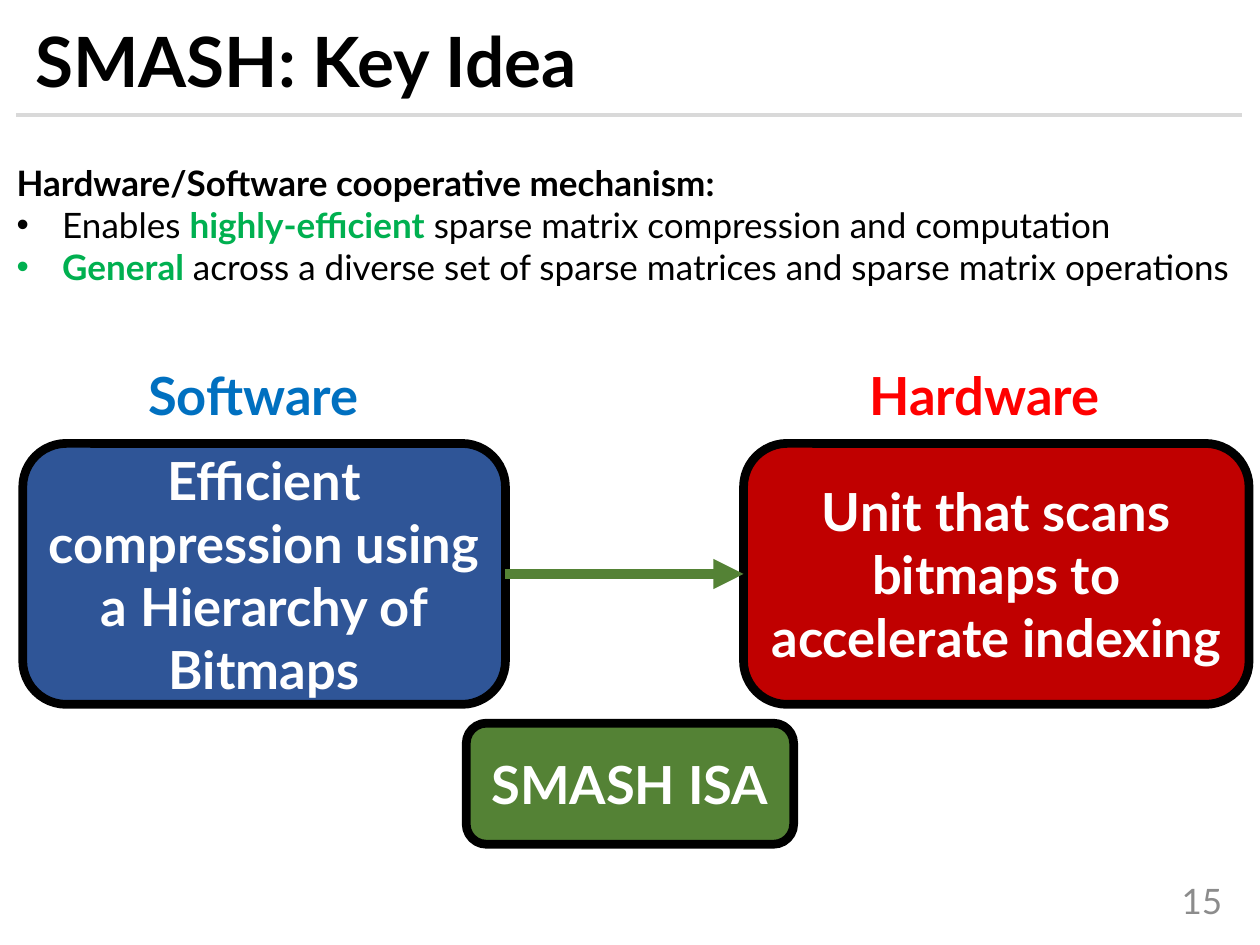
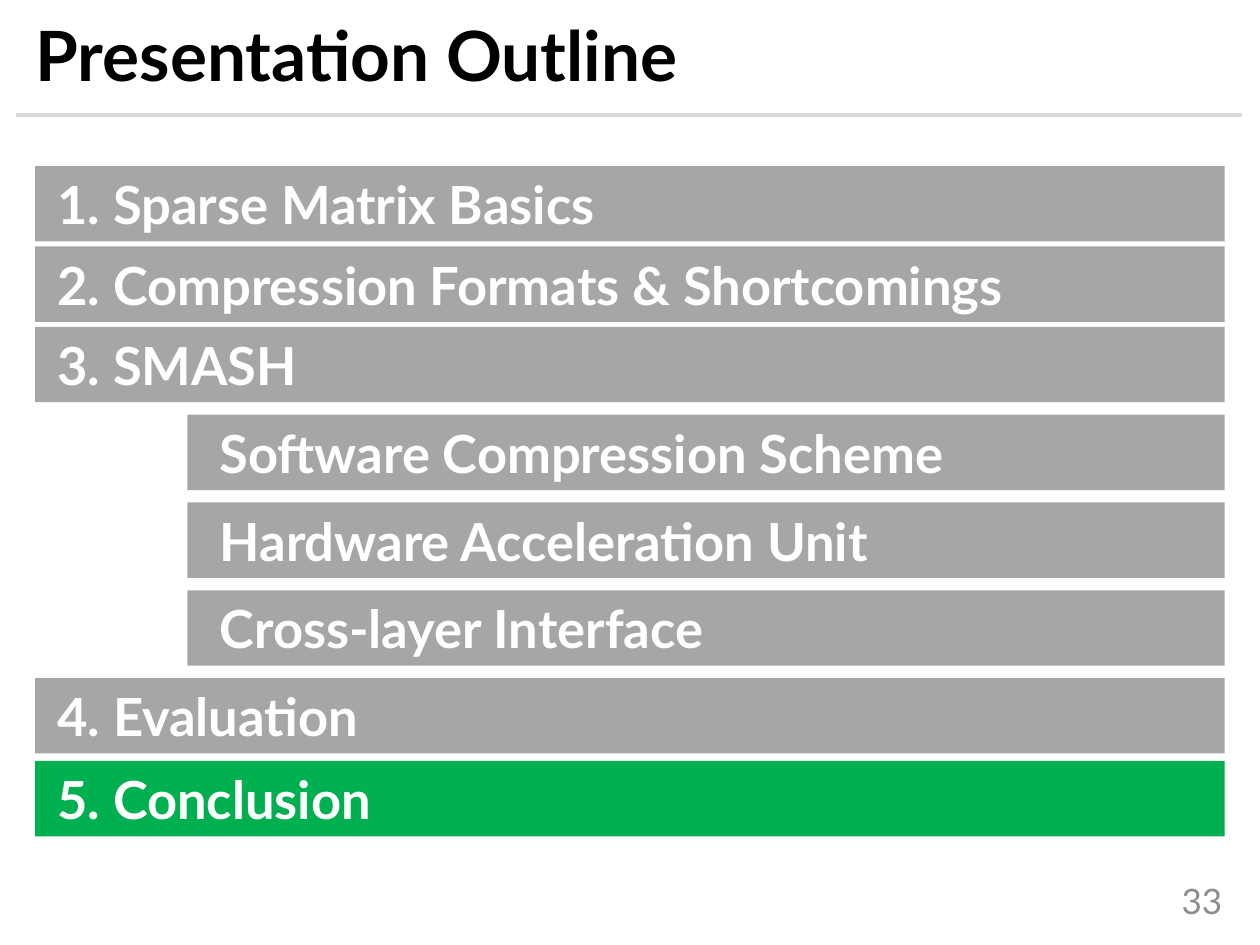
from lxml.etree import SubElement
from pptx import Presentation
from pptx.dml.color import RGBColor
from pptx.enum.shapes import MSO_CONNECTOR as Link, MSO_SHAPE as Shape
from pptx.enum.text import MSO_ANCHOR as Anchor, MSO_AUTO_SIZE as Fit, PP_ALIGN as Align
from pptx.oxml.ns import qn
from pptx.util import Cm, Pt

FONT = "Lato"
BLACK, WHITE = "000000", "FFFFFF"
GREEN, LEAF = "00B050", "548235"
GREY, RULE, NUMBER = "A6A6A6", "D9D9D9", "8C8C8C"
TITLE_ONLY, TITLE_AND_BODY = 5, 1
INSET = 0.25


def color(value):
    return RGBColor.from_string(value)


def place(item, box):
    item.left, item.top, item.width, item.height = map(Cm, box)


def add_span(para, text, size, ink, bold=True):
    span = para.add_run()
    span.text = text
    span.font.name = FONT
    span.font.size = Pt(size)
    span.font.bold = bold
    span.font.color.rgb = color(ink)


def add_text(page, box, text, size, ink, align, bold=True, anchor=Anchor.TOP):
    frame = page.shapes.add_textbox(*map(Cm, box)).text_frame
    frame.word_wrap = True
    frame.vertical_anchor = anchor
    frame.paragraphs[0].alignment = align
    add_span(frame.paragraphs[0], text, size, ink, bold)


def add_line(page, start, end, ink, width):
    line = page.shapes.add_connector(Link.STRAIGHT, *map(Cm, start + end))
    line.line.color.rgb = color(ink)
    line.line.width = Pt(width)
    SubElement(line._element.spPr, qn("a:effectLst"))
    return line


def add_block(page, kind, box, text, fill, align, border=None, inset=INSET):
    """Add a filled shape with bold white text, outlined only if border is given."""
    block = page.shapes.add_shape(kind, *map(Cm, box))
    block.shadow.inherit = False
    block.fill.solid()
    block.fill.fore_color.rgb = color(fill)
    if border:
        block.line.color.rgb = color(BLACK)
        block.line.width = Pt(border)
    else:
        block.line.fill.background()
    frame = block.text_frame
    frame.word_wrap = True
    frame.vertical_anchor = Anchor.MIDDLE
    frame.margin_left = Cm(inset)
    frame.paragraphs[0].alignment = align
    add_span(frame.paragraphs[0], text, 30, WHITE)
    return block


def add_page(deck, layout, title, title_top, number):
    """Add a slide with the shared title, rule and page number."""
    page = deck.slides.add_slide(deck.slide_layouts[layout])
    add_line(page, (0.33, 2.31), (25.04, 2.31), RULE, 2.25)
    place(page.shapes.title, (0.46, title_top, 24.7, 1.68))
    frame = page.shapes.title.text_frame
    frame.auto_size = Fit.NONE
    frame.vertical_anchor = Anchor.MIDDLE
    para = frame.paragraphs[0]
    para.alignment = Align.LEFT
    para.line_spacing = 0.9
    add_span(para, title, 39.6, BLACK)
    add_text(page, (22.15, 17.65, 2.74, 1.02), number, 20, NUMBER,
             Align.RIGHT, bold=False, anchor=Anchor.MIDDLE)
    return page


def set_bullet(para, marked):
    props = para._p.get_or_add_pPr()
    indent = Cm(0.92) if marked else 0
    props.set("marL", str(indent))
    props.set("indent", str(-indent))
    if marked:
        SubElement(props, qn("a:buFont"), typeface="Arial")
        SubElement(props, qn("a:buChar"), char="•")
    else:
        SubElement(props, qn("a:buNone"))


def fill_claims(body, box):
    claims = [
        [("Hardware/Software cooperative mechanism:", BLACK, True)],
        [("Enables ", BLACK, False), ("highly-efficient", GREEN, True),
         (" sparse matrix compression and computation", BLACK, False)],
        [("General", GREEN, True),
         (" across a diverse set of sparse matrices and sparse matrix operations", BLACK, False)],
    ]
    place(body, box)
    frame = body.text_frame
    frame.auto_size = Fit.NONE
    frame.vertical_anchor = Anchor.TOP
    for index, spans in enumerate(claims):
        para = frame.add_paragraph() if index else frame.paragraphs[0]
        para.space_before = Pt(0)
        set_bullet(para, marked=index > 0)
        for text, ink, bold in spans:
            add_span(para, text, 20, ink, bold)


def add_side(page, box, label, label_box, label_ink, text, fill):
    """Add a rounded panel with a label; label_box is (offset, width) from the panel."""
    left, top, _, _ = box
    offset, width = label_box
    add_text(page, (left + offset, top - 1.75, width, 1.55), label, 30, label_ink, Align.CENTER)
    return add_block(page, Shape.ROUNDED_RECTANGLE, box, text, fill, Align.CENTER, border=5)


def add_cooperation(page, left, top):
    """Draw software, hardware and the instruction set that joins them."""
    height = 5.26
    software = add_side(page, (left, top, 9.73, height), "Software", (2.16, 4.98), "0070C0",
                        "Efficient compression using a Hierarchy of Bitmaps", "2F5597")
    hardware = add_side(page, (left + 14.53, top, 10.19, height), "Hardware", (2.13, 5.46),
                        "FF0000", "Unit that scans bitmaps to accelerate indexing", "C00000")
    arrow = add_line(page, (0, 0), (1, 1), LEAF, 5.75)
    arrow.begin_connect(software, 3)
    arrow.end_connect(hardware, 1)
    SubElement(arrow.line._get_or_add_ln(), qn("a:tailEnd"), type="triangle")
    add_block(page, Shape.ROUNDED_RECTANGLE, (left + 8.94, top + 5.64, 6.6, 2.44),
              "SMASH ISA", LEAF, Align.CENTER, border=5)


def add_outline(page, box):
    """Stack the agenda rows; each has a text, a level and the gap above it."""
    left, top, width = box
    height, step_in = 1.52, 3.07
    rows = [
        ("1. Sparse Matrix Basics", 0, 0),
        ("2. Compression Formats & Shortcomings", 0, 0.1),
        ("3. SMASH", 0, 0.1),
        ("Software Compression Scheme", 1, 0.25),
        ("Hardware Acceleration Unit", 1, 0.25),
        ("Cross-layer Interface", 1, 0.25),
        ("4. Evaluation", 0, 0.25),
        ("5. Conclusion", 0, 0.15),
    ]
    current = len(rows) - 1
    for index, (text, level, gap) in enumerate(rows):
        top += gap
        shift = level * step_in
        add_block(page, Shape.RECTANGLE, (left + shift, top, width - shift, height), text,
                  GREEN if index == current else GREY, Align.LEFT,
                  inset=INSET + 0.2 * (level + 1))
        top += height


def main():
    deck = Presentation()
    deck.slide_width, deck.slide_height = Cm(25.4), Cm(19.05)

    page = add_page(deck, TITLE_AND_BODY, "SMASH: Key Idea", 0.48, "15")
    fill_claims(page.placeholders[1], (0.08, 3.12, 25.3, 2.82))
    add_cooperation(page, 0.46, 8.94)

    page = add_page(deck, TITLE_ONLY, "Presentation Outline", 0.36, "33")
    add_outline(page, (0.71, 3.35, 23.98))

    deck.save("out.pptx")


if __name__ == "__main__":
    main()
